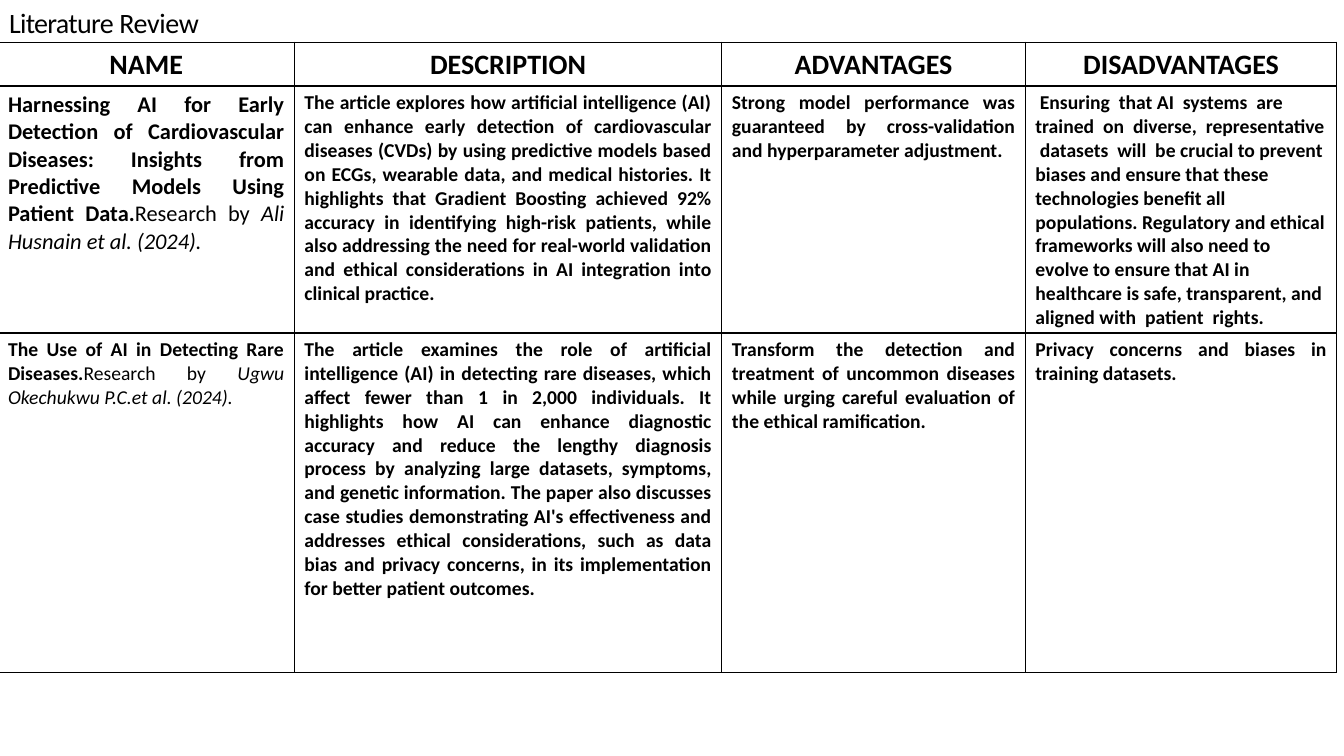
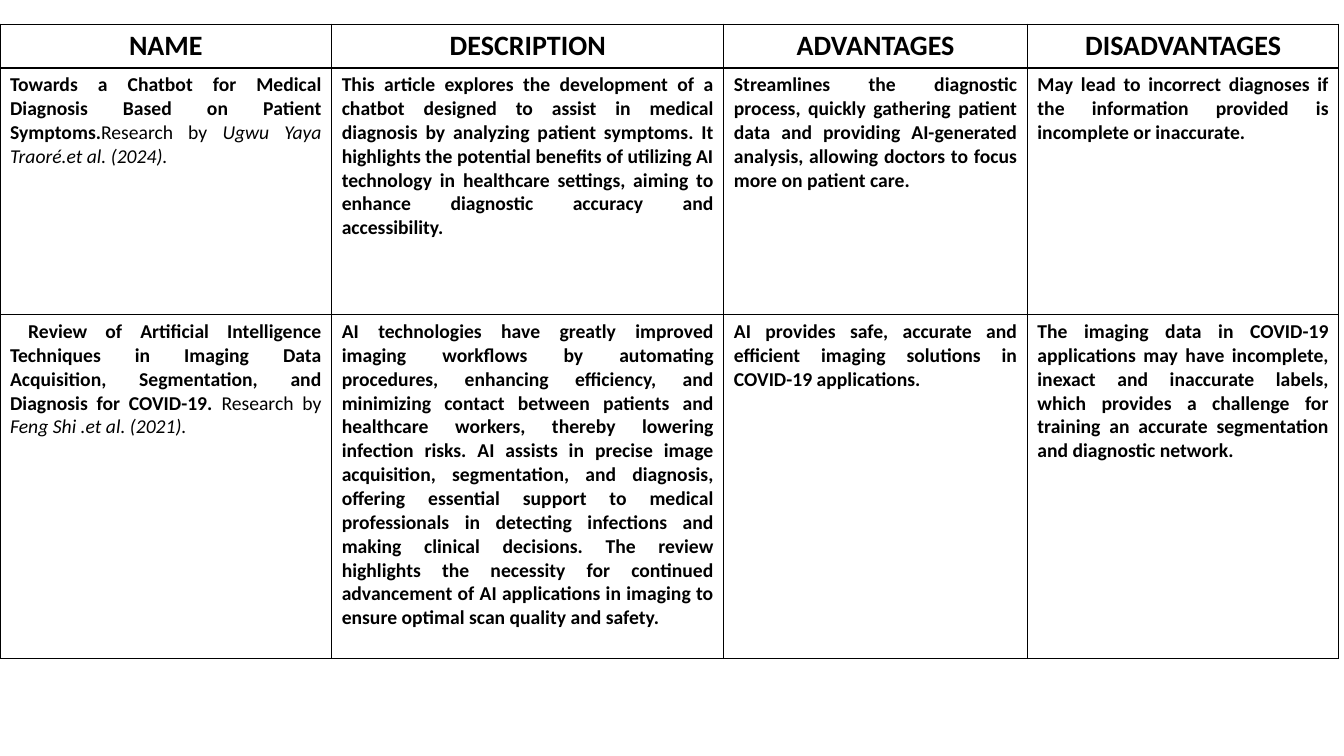
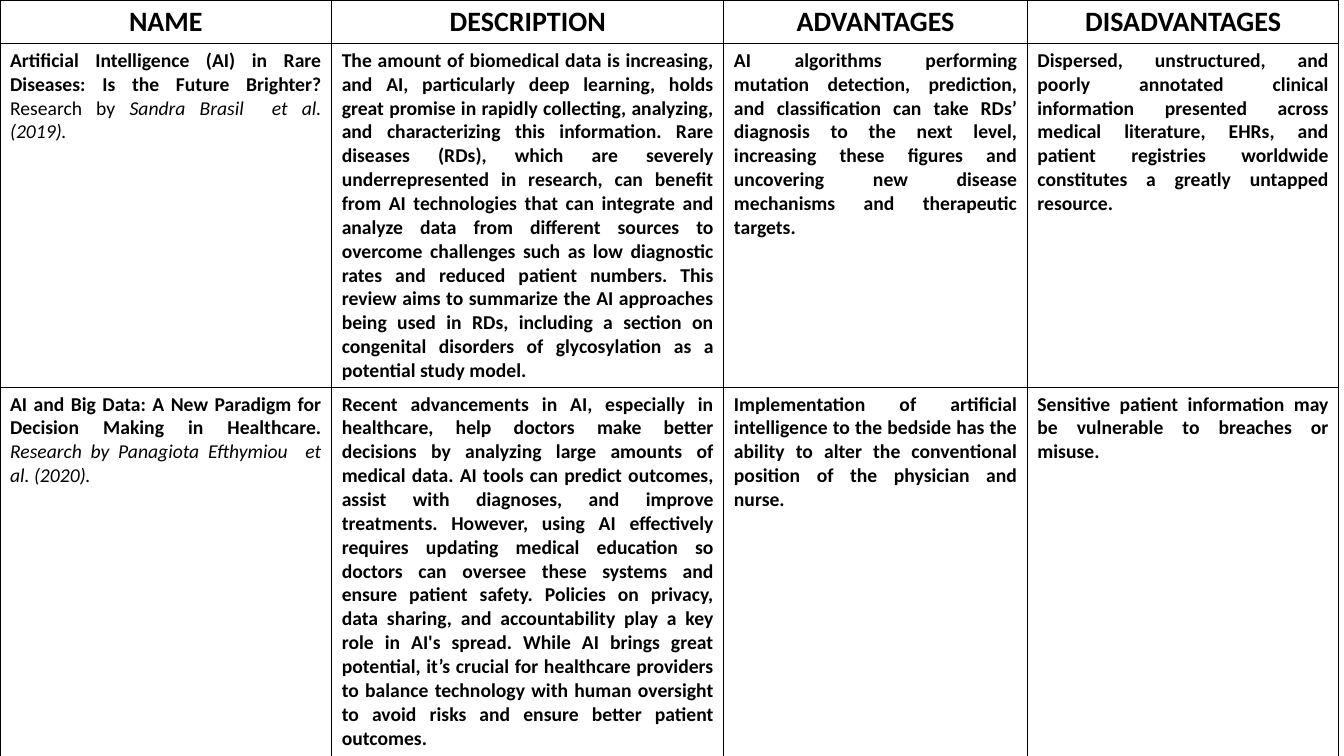
import pptx
import pptx.util
import pptx.dml.color
import pptx.enum.text
import pptx.oxml
import pptx.oxml.ns

EMU_PER_PX = 9144
ALIGN = pptx.enum.text.PP_ALIGN
HEADINGS = ["NAME", "DESCRIPTION", "ADVANTAGES", "DISADVANTAGES"]
WIDE_NAME_COLUMNS = [329, 389, 301, 309]


def px(length):
    return pptx.util.Emu(length * EMU_PER_PX)


def colour(hex_code):
    return pptx.dml.color.RGBColor.from_string(hex_code)


class ReviewDeck:
    """Holds the deck's style and current slide, and draws its elements."""

    font = "Calibri"
    ink = "000000"
    heading_size = 20
    body_size = 14
    border_width = 1

    def __init__(self):
        self.presentation = pptx.Presentation()
        self.presentation.slide_width = px(1333)
        self.presentation.slide_height = px(750)
        self.slide = None

    def add_slide(self, layout_index):
        layout = self.presentation.slide_layouts[layout_index]
        self.slide = self.presentation.slides.add_slide(layout)

    def add_run(self, paragraph, text, size, bold=False, italic=False):
        run = paragraph.add_run()
        run.text = text
        run.font.name = self.font
        run.font.size = pptx.util.Pt(size)
        run.font.bold = bold
        run.font.italic = italic
        run.font.color.rgb = colour(self.ink)
        return run

    def title(self, spaced_words):
        shape = self.slide.shapes.title
        shape.left, shape.top, shape.width, shape.height = map(px, (8, -33, 978, 72))
        frame = shape.text_frame
        frame.margin_left, frame.margin_top = px(1), px(38)
        frame.margin_right = frame.margin_bottom = 0
        frame.vertical_anchor = pptx.enum.text.MSO_ANCHOR.TOP
        frame.auto_size = pptx.enum.text.MSO_AUTO_SIZE.SHAPE_TO_FIT_TEXT
        paragraph = frame.paragraphs[0]
        paragraph.alignment = ALIGN.LEFT
        paragraph.space_before = pptx.util.Pt(1.3)
        for text, spacing in spaced_words:
            run = self.add_run(paragraph, text, self.heading_size)
            run._r.get_or_add_rPr().set("spc", str(spacing))

    def border(self, cell):
        properties = cell._tc.get_or_add_tcPr()
        width = pptx.util.Pt(self.border_width)
        for index, side in enumerate("LRTB"):
            line = pptx.oxml.parse_xml(
                f'<a:ln{side} {pptx.oxml.ns.nsdecls("a")} w="{width}"><a:solidFill>'
                f'<a:srgbClr val="{self.ink}"/></a:solidFill></a:ln{side}>')
            properties.insert(index, line)

    def fill_cell(self, cell, runs, size, alignment):
        cell.fill.background()
        self.border(cell)
        paragraph = cell.text_frame.paragraphs[0]
        paragraph.alignment = alignment
        for text, style in runs:
            self.add_run(paragraph, text, size, "b" in style, "i" in style)

    def review_table(self, left, top, columns, rows, articles, sizes=None, alignments=None):
        shape = self.slide.shapes.add_table(
            len(rows), len(columns), px(left), px(top), px(sum(columns)), px(sum(rows)))
        table = shape.table
        table.first_row = table.horz_banding = False
        for column, width in zip(table.columns, columns):
            column.width = px(width)
        for row, height in zip(table.rows, rows):
            row.height = px(height)
        for column, heading in enumerate(HEADINGS):
            cell = table.cell(0, column)
            cell.vertical_anchor = pptx.enum.text.MSO_ANCHOR.MIDDLE
            self.fill_cell(cell, [(heading, "b")], self.heading_size, ALIGN.CENTER)
        for row, (name_runs, *texts) in enumerate(articles, 1):
            for column, runs in enumerate([name_runs] + [[(text, "b")] for text in texts]):
                size = (sizes or {}).get((row, column), self.body_size)
                alignment = (alignments or {}).get((row, column), ALIGN.JUSTIFY)
                self.fill_cell(table.cell(row, column), runs, size, alignment)


def main():
    deck = ReviewDeck()

    deck.add_slide(5)
    deck.title([("Literature ", -50), ("Review", -30)])
    deck.review_table(-2, 42, [294, 424, 301, 309], [43, 245, 337], [
        ([("Harnessing AI for Early Detection of Cardiovascular Diseases: Insights from "
           "Predictive Models Using Patient Data.", "b"),
          ("Research by ", ""), ("Ali Husnain et al. (2024).", "i")],
         "The article explores how artificial intelligence (AI) can enhance early detection of "
         "cardiovascular diseases (CVDs) by using predictive models based on ECGs, wearable data, "
         "and medical histories. It highlights that Gradient Boosting achieved 92% accuracy in "
         "identifying high-risk patients, while also addressing the need for real-world validation "
         "and ethical considerations in AI integration into clinical practice.",
         "Strong model performance was guaranteed by cross-validation and hyperparameter "
         "adjustment.",
         " Ensuring  that AI  systems  are  trained  on  diverse,  representative  datasets  will  "
         "be crucial to prevent biases and ensure that these technologies benefit all populations. "
         "Regulatory and ethical frameworks will also need to evolve to ensure that AI in "
         "healthcare is safe, transparent, and aligned with  patient  rights."),
        ([("The Use of AI in Detecting Rare Diseases.", "b"),
          ("Research by ", ""), ("Ugwu Okechukwu P.C.et al. (2024).", "i")],
         "The article examines the role of artificial intelligence (AI) in detecting rare "
         "diseases, which affect fewer than 1 in 2,000 individuals. It highlights how AI can "
         "enhance diagnostic accuracy and reduce the lengthy diagnosis process by analyzing large "
         "datasets, symptoms, and genetic information. The paper also discusses case studies "
         "demonstrating AI's effectiveness and addresses ethical considerations, such as data bias "
         "and privacy concerns, in its implementation for better patient outcomes.",
         "Transform the detection and treatment of uncommon diseases while urging careful "
         "evaluation of the ethical ramification.",
         "Privacy concerns and biases in training datasets."),
    ], sizes={(1, 0): 16}, alignments={(1, 3): ALIGN.LEFT})

    deck.add_slide(6)
    deck.review_table(0, 24, WIDE_NAME_COLUMNS, [43, 245, 341], [
        ([("Towards a Chatbot for Medical Diagnosis Based on Patient Symptoms.", "b"),
          ("Research by ", ""), ("Ugwu Yaya Traoré.et al. (2024).", "i")],
         "This article explores the development of a chatbot designed to assist in medical "
         "diagnosis by analyzing patient symptoms. It highlights the potential benefits of "
         "utilizing AI technology in healthcare settings, aiming to enhance diagnostic accuracy "
         "and accessibility.",
         "Streamlines the diagnostic process, quickly gathering patient data and providing "
         "AI-generated analysis, allowing doctors to focus more on patient care.",
         "May lead to incorrect diagnoses if the information provided is incomplete or "
         "inaccurate."),
        ([(" Review of Artificial Intelligence Techniques in Imaging Data Acquisition, "
           "Segmentation, and Diagnosis for COVID-19. ", "b"),
          ("Research by ", ""), ("Feng Shi .et al. (2021).", "i")],
         "AI technologies have greatly improved imaging workflows by automating procedures, "
         "enhancing efficiency, and minimizing contact between patients and healthcare workers, "
         "thereby lowering infection risks. AI assists in precise image acquisition, segmentation, "
         "and diagnosis, offering essential support to medical professionals in detecting "
         "infections and making clinical decisions. The review highlights the necessity for "
         "continued advancement of AI applications in imaging to ensure optimal scan "
         "quality and safety.",
         "AI provides safe, accurate and efficient imaging solutions in COVID-19 applications.",
         "The imaging data in COVID-19 applications may have incomplete, inexact and inaccurate "
         "labels, which provides a challenge for training an accurate segmentation and diagnostic "
         "network."),
    ])

    deck.add_slide(6)
    deck.review_table(0, 0, WIDE_NAME_COLUMNS, [43, 341, 366], [
        ([("Artificial Intelligence (AI) in Rare Diseases: Is the Future Brighter?", "b"),
          (" Research by ", ""), ("Sandra Brasil  et al. (2019).", "i")],
         "The amount of biomedical data is increasing, and AI, particularly deep learning, holds "
         "great promise in rapidly collecting, analyzing, and characterizing this information. "
         "Rare diseases (RDs), which are severely underrepresented in research, can benefit from "
         "AI technologies that can integrate and analyze data from different sources to overcome "
         "challenges such as low diagnostic rates and reduced patient numbers. This review aims to "
         "summarize the AI approaches being used in RDs, including a section on congenital "
         "disorders of glycosylation as a potential study model.",
         "AI algorithms performing mutation detection, prediction, and classification can take "
         "RDs’ diagnosis to the next level, increasing these figures and uncovering new disease "
         "mechanisms and therapeutic targets.",
         "Dispersed, unstructured, and poorly annotated clinical information presented across "
         "medical literature, EHRs, and patient registries worldwide constitutes a greatly "
         "untapped resource."),
        ([("AI and Big Data: A New Paradigm for Decision Making in Healthcare. ", "b"),
          ("Research by Panagiota Efthymiou  et al. (2020).", "i")],
         "Recent advancements in AI, especially in healthcare, help doctors make better decisions "
         "by analyzing large amounts of medical data. AI tools can predict outcomes, assist with "
         "diagnoses, and improve treatments. However, using AI effectively requires updating "
         "medical education so doctors can oversee these systems and ensure patient safety. "
         "Policies on privacy, data sharing, and accountability play a key role in AI's spread. "
         "While AI brings great potential, it’s crucial for healthcare providers to balance "
         "technology with human oversight to avoid risks and ensure better patient outcomes.",
         "Implementation of artificial intelligence to the bedside has the ability to alter the "
         "conventional position of the physician and nurse.",
         "Sensitive patient information may be vulnerable to breaches or misuse."),
    ])

    deck.presentation.save("out.pptx")


if __name__ == "__main__":
    main()
